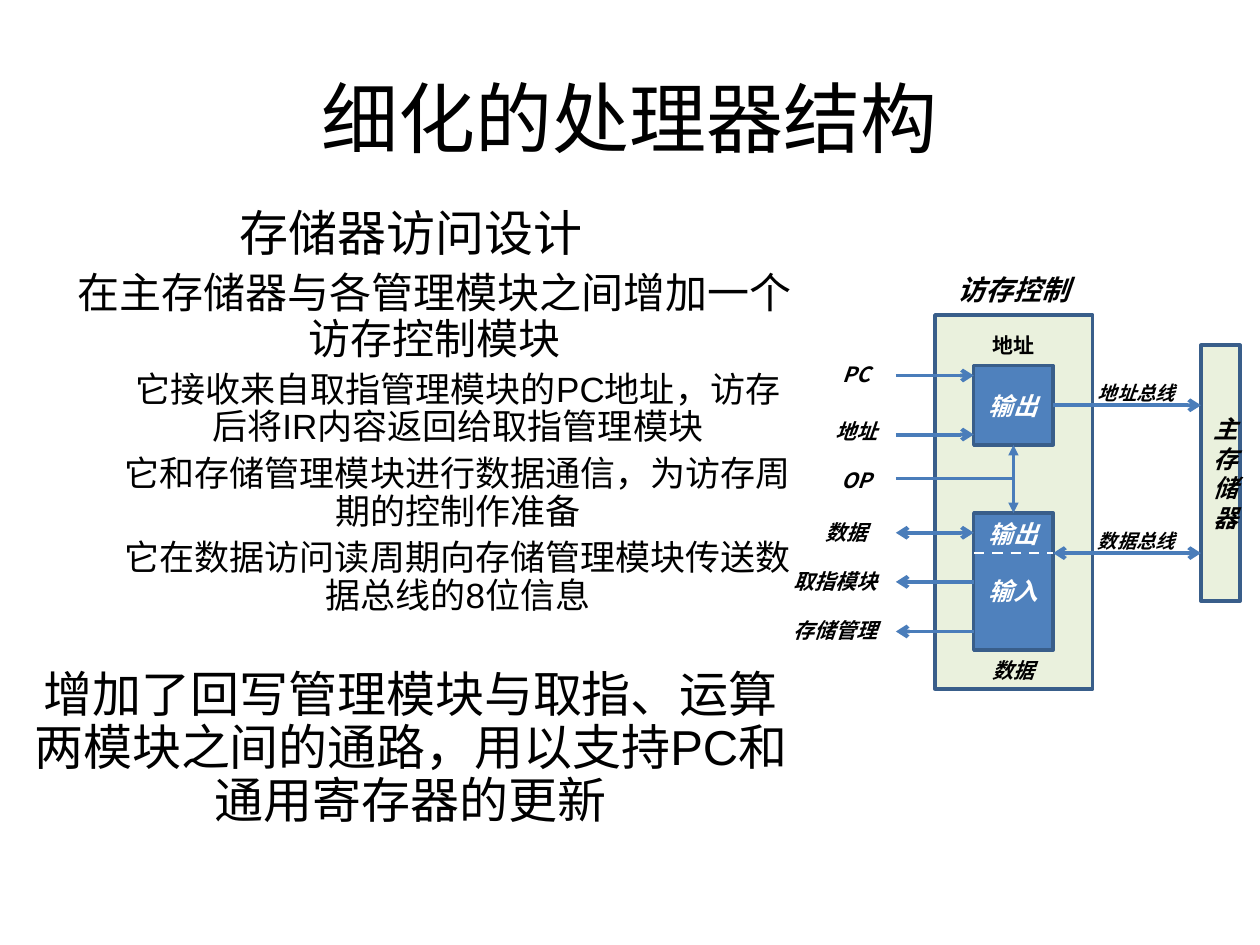
import pptx
import pptx.util
import pptx.dml.color
import pptx.enum.dml
import pptx.enum.shapes
import pptx.enum.text
import pptx.oxml.ns
import lxml.etree

Cm = pptx.util.Cm
Pt = pptx.util.Pt
MIDDLE = pptx.enum.text.MSO_ANCHOR.MIDDLE
TOP = pptx.enum.text.MSO_ANCHOR.TOP
COLORS = {"text": "000000", "white": "FFFFFF", "panel": "EAF1DD",
          "block": "4F81BD", "border": "395E8A", "wire": "4A7DBA"}


class Deck:
    """Style and current slide, with one method per kind of element."""

    def __init__(self, prs):
        self.s = prs.slides.add_slide(prs.slide_layouts[6])

    def rgb(self, name):
        return pptx.dml.color.RGBColor.from_string(COLORS[name])

    def para(self, tf, text, size, font="Arial", color="text", bold=False,
             italic=False, before=0, spacing=None, indent=0):
        p = tf.paragraphs[0]
        if p.runs:
            p = tf.add_paragraph()
        p.alignment = pptx.enum.text.PP_ALIGN.CENTER
        p.space_before = Pt(before)
        p.line_spacing = spacing
        if indent:
            p._p.get_or_add_pPr().set("marL", str(Cm(indent)))
        r = p.add_run()
        r.text = text
        r.font.name = font
        r.font.size = Pt(size)
        r.font.bold = bold
        r.font.italic = italic
        r.font.color.rgb = self.rgb(color)

    def text(self, x, y, w, h, anchor=TOP):
        tf = self.s.shapes.add_textbox(Cm(x), Cm(y), Cm(w), Cm(h)).text_frame
        tf.word_wrap = True
        tf.vertical_anchor = anchor
        return tf

    def label(self, text, center, y, w, size=12, italic=True):
        tf = self.text(center - w / 2, y, w, 0.76)
        self.para(tf, text, size, "Noto Sans CJK SC", bold=True, italic=italic)

    def box(self, x, y, w, h, fill, lines=(), color="white", anchor=MIDDLE, gap=0):
        sp = self.s.shapes.add_shape(pptx.enum.shapes.MSO_SHAPE.RECTANGLE,
                                     Cm(x), Cm(y), Cm(w), Cm(h))
        sp.shadow.inherit = False
        sp.fill.solid()
        sp.fill.fore_color.rgb = self.rgb(fill)
        sp.line.color.rgb = self.rgb("border")
        sp.line.width = Pt(2)
        tf = sp.text_frame
        tf.word_wrap = True
        tf.vertical_anchor = anchor
        for i, line in enumerate(lines):
            self.para(tf, line, 14, "Calibri", color, True, True, before=gap * i)

    def line(self, x1, y1, x2, y2, head=None, tail=None, width=2.25,
             color="wire", dash=False):
        c = self.s.shapes.add_connector(pptx.enum.shapes.MSO_CONNECTOR.STRAIGHT,
                                        Cm(x1), Cm(y1), Cm(x2), Cm(y2))
        c.line.color.rgb = self.rgb(color)
        c.line.width = Pt(width)
        if dash:
            c.line.dash_style = pptx.enum.dml.MSO_LINE.DASH
        qn = pptx.oxml.ns.qn
        ln = c.line._get_or_add_ln()
        for tag, kind in (("a:headEnd", head), ("a:tailEnd", tail)):
            if kind:
                lxml.etree.SubElement(ln, qn(tag)).set("type", kind)
        lxml.etree.SubElement(c._element.spPr, qn("a:effectLst"))


def main():
    prs = pptx.Presentation()
    prs.slide_width, prs.slide_height = Cm(25.4), Cm(19.05)
    d = Deck(prs)

    d.para(d.text(1.27, 0.76, 22.86, 3.18, MIDDLE), "细化的处理器结构", 44)
    tf = d.text(0.28, 4.09, 16, 13.94)
    for text, size, before, indent in (
            ("存储器访问设计", 28, 7, 0),
            ("在主存储器与各管理模块之间增加一个访存控制模块", 24, 6, 0.95),
            ("它接收来自取指管理模块的PC地址，访存后将IR内容返回给取指管理模块", 20, 5, 1.9),
            ("它和存储管理模块进行数据通信，为访存周期的控制作准备", 20, 5, 1.9),
            ("它在数据访问读周期向存储管理模块传送数据总线的8位信息", 20, 5, 1.9),
            ("增加了回写管理模块与取指、运算两模块之间的通路，用以支持PC和通用寄存器的更新", 28, 31, 0)):
        d.para(tf, text, size, before=before, spacing=0.9, indent=indent)

    start, left, right, memory = 18.06, 19.63, 21.23, 24.21
    block_w = right - left
    mid = (left + right) / 2
    d.box(18.85, 6.35, 3.18, 7.54, "panel")
    d.box(left, 7.37, block_w, 1.6, "block", ["输出"])
    d.box(left, 10.34, block_w, 2.77, "block", ["输出", "输入"], anchor=TOP, gap=16)
    d.line(left, 11.15, right, 11.15, width=1.5, color="white", dash=True)
    d.box(memory, 6.96, 0.79, 5.16, "panel", ["主存储器"], "text")

    d.label("访存控制", mid, 5.36, 3.18, 16)
    d.label("地址", mid, 6.58, block_w, italic=False)
    d.label("数据", mid, 13.13, block_w)

    for text, center, top, y, head, tail, width, end in (
            ("PC", 17.26, 7.16, 7.57, None, "arrow", 2.25, left),
            ("地址", 17.26, 8.31, 8.76, None, "arrow", 2.25, left),
            ("OP", 17.26, 9.3, 9.65, None, None, 1.5, mid),
            ("数据", 17.07, 10.34, 10.74, "arrow", "arrow", 2.25, left),
            ("取指模块", 16.85, 11.33, 11.73, "arrow", None, 2.25, left),
            ("存储管理", 16.85, 12.32, 12.73, "arrow", None, 2.25, left)):
        d.label(text, center, top, 2.77 if len(text) > 2 else 1.6)
        d.line(start, y, end, y, head, tail, width)
    d.line(mid, 8.97, mid, 10.34, "triangle", "triangle", 1.5)

    for text, y, head in (("地址总线", 8.17, None), ("数据总线", 11.15, "arrow")):
        d.line(right, y, memory, y, head, "arrow")
        d.label(text, 22.91, y - 0.6, 2.18, 11)

    prs.save("out.pptx")


if __name__ == "__main__":
    main()
